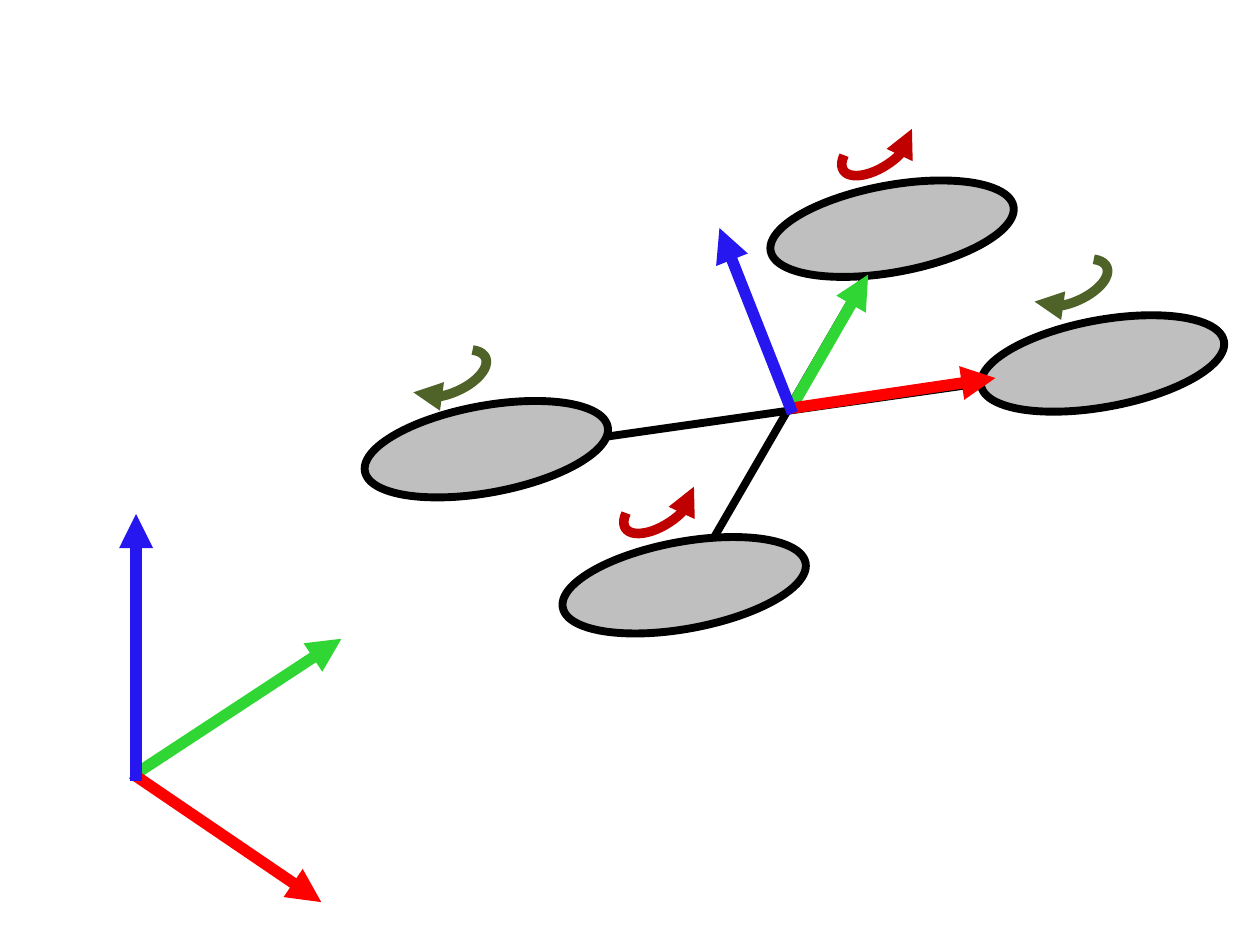
from dataclasses import dataclass

import pptx
import pptx.dml.color
import pptx.enum.shapes
import pptx.oxml
import pptx.oxml.ns
import pptx.util

COLUMNS, ROWS = 100, 75
SHAPES = pptx.enum.shapes.MSO_SHAPE


@dataclass(frozen=True)
class Theme:
    outline: str = "000000"
    disc: str = "BFBFBF"
    x_axis: str = "FF0000"
    y_axis: str = "30D634"
    z_axis: str = "2616F0"
    counterclockwise: str = "C00000"
    clockwise: str = "4F6228"
    outline_width: float = 4.5
    spin_width: float = 5.5
    axis_width: float = 6.5


THEME = Theme()


@dataclass(frozen=True)
class Box:
    """An area of the slide, measured in grid columns and rows."""
    left: float
    top: float
    unit_x: int
    unit_y: int

    def point(self, column, row):
        return (round((self.left + column) * self.unit_x),
                round((self.top + row) * self.unit_y))

    def size(self, columns, rows):
        return round(columns * self.unit_x), round(rows * self.unit_y)


# Rotor corner and spin-arrow corner in the drone's box, with spin direction
ROTORS = [
    ((33, 4.7), (38.4, 0.2), "counterclockwise"),
    ((0.8, 22.2), (4.4, 18.1), "clockwise"),
    ((49.7, 15.4), (53.7, 10.9), "clockwise"),
    ((16.5, 33), (21.1, 28.6), "counterclockwise"),
]
ROTOR_SIZE = (19.6, 6.9)
SPIN_SIZE = (6.4, 3.1)


def rgb(color):
    return pptx.dml.color.RGBColor.from_string(color)


def style_line(item, color, width, arrow=False):
    item.line.color.rgb = rgb(color)
    item.line.width = pptx.util.Pt(width)
    if arrow:
        head = pptx.oxml.parse_xml(
            f'<a:tailEnd {pptx.oxml.ns.nsdecls("a")} type="triangle"/>')
        item.line._get_or_add_ln().append(head)


def add_line(shapes, box, start, end, color, width, arrow=False):
    line = shapes.add_connector(pptx.enum.shapes.MSO_CONNECTOR.STRAIGHT,
                                *box.point(*start), *box.point(*end))
    style_line(line, color, width, arrow)
    effects = pptx.oxml.parse_xml(
        f'<a:effectLst {pptx.oxml.ns.nsdecls("a")}/>')
    line._element.spPr.append(effects)


def add_shape(shapes, box, kind, corner, size, rotation):
    shape = shapes.add_shape(kind, *box.point(*corner), *box.size(*size))
    shape.rotation = rotation
    shape.shadow.inherit = False
    return shape


def add_axes(shapes, box, axes):
    for start, end, color in axes:
        add_line(shapes, box, start, end, color, THEME.axis_width, arrow=True)


def draw_drone(shapes, box):
    arms = [((0.9, 27.4), (66.1, 18.1)), ((26.5, 36.4), (44, 6.2))]
    for start, end in arms:
        add_line(shapes, box, start, end, THEME.outline, THEME.outline_width)
    for corner, _, _ in ROTORS:
        disc = add_shape(shapes, box, SHAPES.OVAL, corner, ROTOR_SIZE, 349.6)
        disc.fill.solid()
        disc.fill.fore_color.rgb = rgb(THEME.disc)
        style_line(disc, THEME.outline, THEME.outline_width)
    add_axes(shapes, box, [
        ((34.9, 22.2), (40.9, 11.8), THEME.y_axis),
        ((34.8, 22.4), (51, 20), THEME.x_axis),
        ((34.9, 22.8), (29.1, 8.1), THEME.z_axis),
    ])


def draw_world_frame(shapes, box):
    add_axes(shapes, box, [
        ((0.8, 21.4), (17.1, 10.7), THEME.y_axis),
        ((0.5, 21.4), (15.5, 31.6), THEME.x_axis),
        ((0.8, 22), (0.8, 0.8), THEME.z_axis),
    ])


def draw_spins(shapes, box):
    for _, corner, direction in ROTORS:
        mirrored = direction == "counterclockwise"
        arc = add_shape(shapes, box, SHAPES.ARC, corner, SPIN_SIZE,
                        326.2 if mirrored else 337)
        arc.adjustments[0] = 203.19
        arc.adjustments[1] = 104.9
        if mirrored:
            arc._element.spPr.xfrm.set("flipH", "1")
        arc.fill.background()
        style_line(arc, getattr(THEME, direction), THEME.spin_width, arrow=True)


def main():
    deck = pptx.Presentation()
    deck.slide_width = pptx.util.Inches(10)
    deck.slide_height = pptx.util.Inches(7.5)
    page = deck.slides.add_slide(deck.slide_layouts[6])
    units = deck.slide_width // COLUMNS, deck.slide_height // ROWS
    drone_box = Box(28, 10, *units)
    world_box = Box(10, 40, *units)

    frames = page.shapes.add_group_shape().shapes
    draw_drone(frames, drone_box)
    draw_world_frame(frames, world_box)
    draw_spins(page.shapes.add_group_shape().shapes, drone_box)
    deck.save("out.pptx")


if __name__ == "__main__":
    main()
